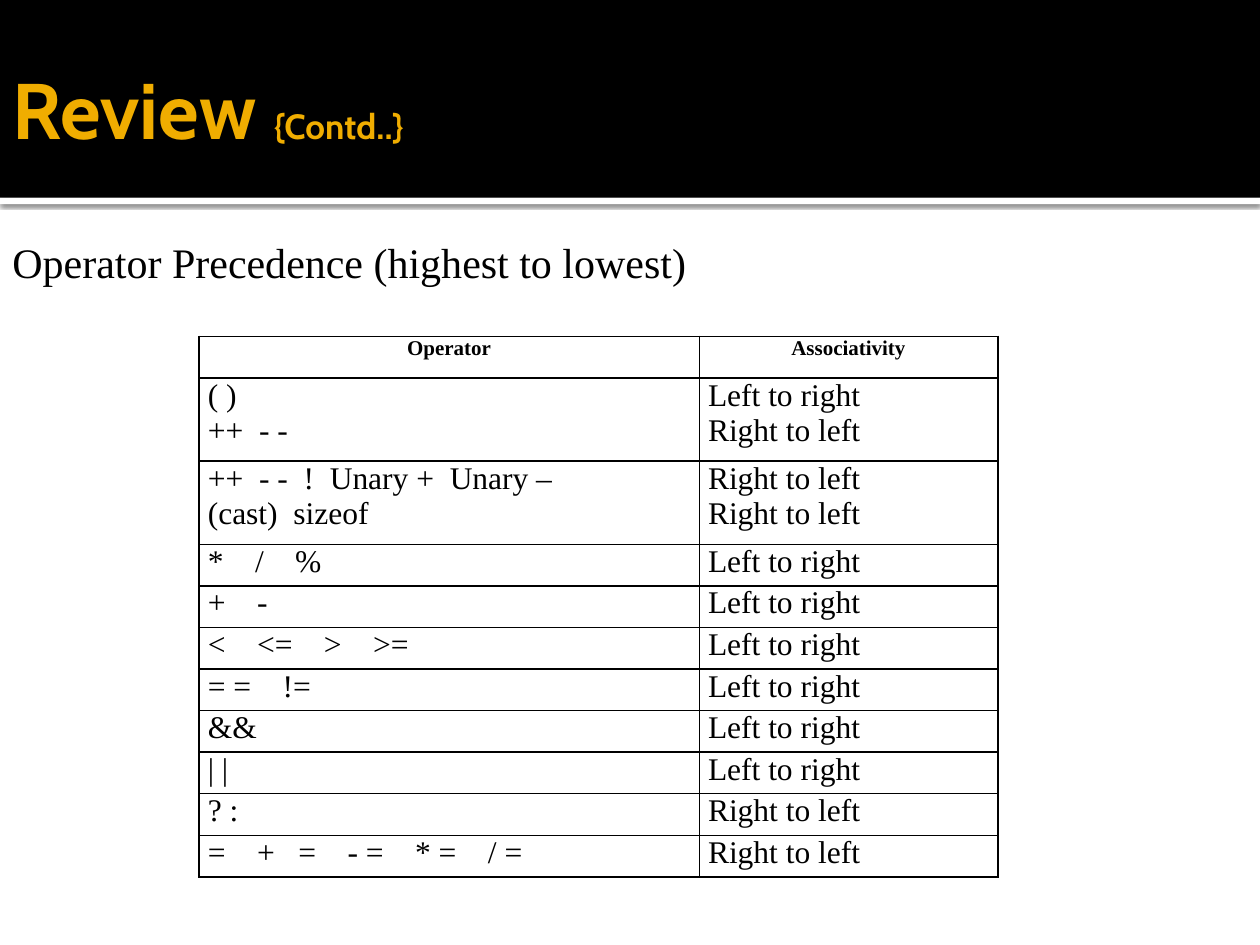
from lxml.etree import SubElement
from pptx import Presentation
from pptx.dml.color import RGBColor
from pptx.enum.shapes import MSO_SHAPE
from pptx.enum.text import MSO_ANCHOR, MSO_AUTO_SIZE, PP_ALIGN
from pptx.oxml import parse_xml
from pptx.oxml.ns import nsdecls, qn
from pptx.util import Inches, Pt

COLORS = {"black": "000000", "white": "FFFFFF", "gold": "F0AD00"}
SERIF = "Times New Roman"
LEFT, RIGHT = "Left to right", "Right to left"
PRECEDENCE = [
    (["( )", "++  - -"], [LEFT, RIGHT]),
    (["++  - -  !  Unary +  Unary –", "(cast)  sizeof"], [RIGHT, RIGHT]),
    (["*    /    %"], [LEFT]),
    (["+    -"], [LEFT]),
    (["<    <=    >    >="], [LEFT]),
    (["= =    !="], [LEFT]),
    (["&&"], [LEFT]),
    (["| |"], [LEFT]),
    (["? :"], [RIGHT]),
    (["=    +   =    - =    * =    / ="], [RIGHT]),
]


def color(name):
    """Return the named palette color."""
    return RGBColor.from_string(COLORS[name])


def write(paragraph, text, size=18, font=SERIF, ink="black", bold=False, align=PP_ALIGN.LEFT):
    """Append a formatted run to a paragraph."""
    paragraph.alignment = align
    run = paragraph.add_run()
    run.text = text
    run.font.size = Pt(size)
    run.font.name = font
    run.font.bold = bold
    run.font.color.rgb = color(ink)


def set_margins(holder, left, top, right, bottom):
    """Set the inner margins of a text frame or cell in inches."""
    holder.margin_left, holder.margin_right = Inches(left), Inches(right)
    holder.margin_top, holder.margin_bottom = Inches(top), Inches(bottom)


def add_band(slide, top, height, fill):
    """Add a full-width band without outline or shadow."""
    band = slide.shapes.add_shape(
        MSO_SHAPE.RECTANGLE, 0, Inches(top), Inches(10), Inches(height))
    band.shadow.inherit = False
    band.fill.solid()
    band.fill.fore_color.rgb = color(fill)
    band.line.fill.background()
    return band


def cast_shadow(band):
    """Give a band a soft shadow below it."""
    effects = band.element.spPr.find(qn("a:effectLst"))
    effects.append(parse_xml(
        f'<a:outerShdw {nsdecls("a")} blurRad="{Pt(2.5)}" dist="{Pt(0.8)}" '
        f'dir="5400000" algn="tl" rotWithShape="0"><a:srgbClr val="{COLORS["black"]}">'
        '<a:alpha val="60000"/></a:srgbClr></a:outerShdw>'))


def add_title(slide):
    """Place the two-size heading above the header band."""
    title = slide.shapes.title
    title.left, title.top = Inches(0), Inches(0.17)
    title.width, title.height = Inches(9.5), Inches(1.37)
    frame = title.text_frame
    frame.vertical_anchor = MSO_ANCHOR.MIDDLE
    frame.word_wrap = True
    set_margins(frame, 0.1, 0.05, 0.05, 0.05)
    for text, size in (("Review ", 45), ("{Contd..}", 20)):
        write(frame.paragraphs[0], text, size=size, font="Cabin", ink="gold", bold=True)
    slide.shapes.element.append(title.element)


def add_caption(slide):
    """Add the line that introduces the table."""
    caption = slide.shapes.add_textbox(0, Inches(1.83), Inches(5.6), Inches(0.5))
    frame = caption.text_frame
    frame.word_wrap = False
    frame.auto_size = MSO_AUTO_SIZE.SHAPE_TO_FIT_TEXT
    write(frame.paragraphs[0], "Operator Precedence (highest to lowest)", size=24)


def border_cell(cell):
    """Draw thin black borders and a white fill."""
    properties = cell._tc.get_or_add_tcPr()
    for side in ("lnL", "lnR", "lnT", "lnB"):
        line = SubElement(properties, qn(f"a:{side}"), w=str(Pt(1)))
        SubElement(SubElement(line, qn("a:solidFill")), qn("a:srgbClr"), val=COLORS["black"])
    cell.fill.solid()
    cell.fill.fore_color.rgb = color("white")


def fill_cell(cell, lines, **style):
    """Write one paragraph per line in a bordered cell."""
    border_cell(cell)
    set_margins(cell, 0.07, 0, 0.07, 0)
    frame = cell.text_frame
    for index, line in enumerate(lines):
        write(frame.paragraphs[0] if index == 0 else frame.add_paragraph(), line, **style)


def add_precedence_table(slide):
    """Build the operator table with its header row."""
    rows = [(["Operator"], ["Associativity"])] + PRECEDENCE
    table = slide.shapes.add_table(
        len(rows), 2, Inches(1.58), Inches(2.67), Inches(6.34), Inches(4.3)).table
    table.horz_banding = False
    for column, width in zip(table.columns, (3.97, 2.37)):
        column.width = Inches(width)
    header = dict(size=12, bold=True, align=PP_ALIGN.CENTER)
    for number, row in enumerate(rows):
        table.rows[number].height = Inches(0.33 * len(row[0]))
        for position, lines in enumerate(row):
            fill_cell(table.cell(number, position), lines, **({} if number else header))


def main():
    """Build and save the slide."""
    deck = Presentation()
    deck.slide_width, deck.slide_height = Inches(10), Inches(7.5)
    slide = deck.slides.add_slide(deck.slide_layouts[5])
    slide.background.fill.solid()
    slide.background.fill.fore_color.rgb = color("white")
    cast_shadow(add_band(slide, 1.57, 0.05, "white"))
    add_band(slide, 0, 1.57, "black")
    add_title(slide)
    add_precedence_table(slide)
    add_caption(slide)
    deck.save("out.pptx")


main()
